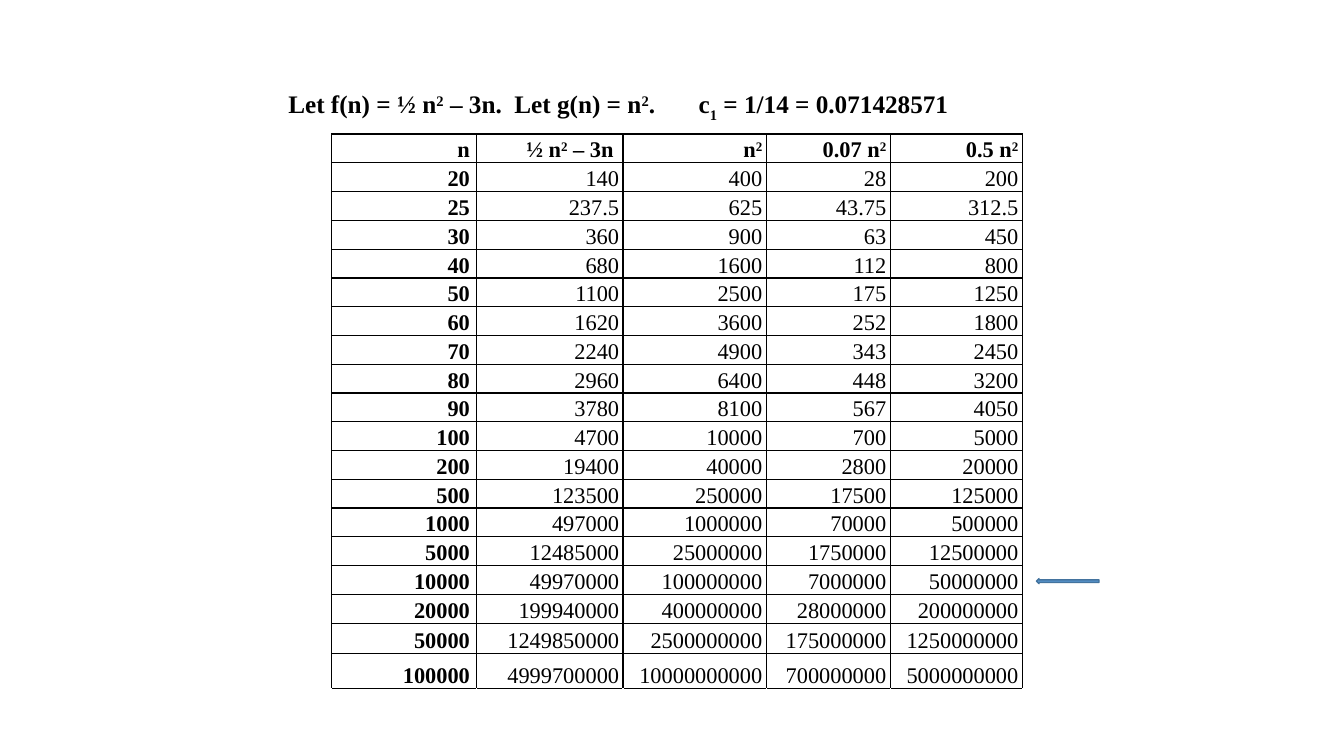
import pptx
import pptx.dml.color
import pptx.enum.shapes
import pptx.enum.text
import pptx.oxml
import pptx.oxml.ns
import pptx.util
from pptx.util import Inches

BLACK = pptx.dml.color.RGBColor(0x00, 0x00, 0x00)
WHITE = pptx.dml.color.RGBColor(0xFF, 0xFF, 0xFF)
ARROW_FILL = pptx.dml.color.RGBColor(0x5B, 0x9B, 0xD5)
ARROW_LINE = pptx.dml.color.RGBColor(0x43, 0x73, 0x9E)

FONT = "Times New Roman"
SUPERSCRIPT, SUBSCRIPT = 30000, -25000
SQUARED = ("2", SUPERSCRIPT)

TITLE = [
    ("Let f(n) = ½ n", 0), SQUARED, (" – 3n.  Let g(n) = n", 0), SQUARED,
    (".\tc", 0), ("1", SUBSCRIPT), (" = 1/14 = 0.071428571", 0),
]
HEADINGS = [
    [("n", 0)],
    [(" ½ n", 0), SQUARED, (" – 3n ", 0)],
    [("n", 0), SQUARED],
    [("0.07 n", 0), SQUARED],
    [("0.5 n", 0), SQUARED],
]
SIZES = [20, 25, 30, 40, 50, 60, 70, 80, 90, 100, 200, 500,
         1000, 5000, 10000, 20000, 50000, 100000]
COLUMN_WIDTHS = [1.44, 1.45, 1.42, 1.23, 1.31]
ROW_HEIGHTS = [0.25] * 17 + [0.3, 0.35, 0.38]


def add_spans(para, spans, size, bold):
    for text, baseline in spans:
        span = para.add_run()
        span.text = text
        span.font.name = FONT
        span.font.size = pptx.util.Pt(size)
        span.font.bold = bold
        span.font.color.rgb = BLACK
        if baseline:
            span._r.get_or_add_rPr().set("baseline", str(baseline))


def add_tab_stop(para, position):
    namespace = pptx.oxml.ns.nsdecls("a")
    para._p.get_or_add_pPr().append(pptx.oxml.parse_xml(
        f'<a:tabLst {namespace}><a:tab pos="{position}" algn="l"/></a:tabLst>'))


def fill_title(page):
    box = page.shapes.title
    box.left, box.top = Inches(2.76), Inches(0.83)
    box.width, box.height = Inches(7.17), Inches(0.4)
    frame = box.text_frame
    frame.word_wrap = True
    frame.auto_size = pptx.enum.text.MSO_AUTO_SIZE.SHAPE_TO_FIT_TEXT
    frame.vertical_anchor = pptx.enum.text.MSO_ANCHOR.TOP
    para = frame.paragraphs[0]
    para.alignment = pptx.enum.text.PP_ALIGN.LEFT
    add_tab_stop(para, Inches(4.07))
    add_spans(para, TITLE, 18, True)


def style_cell(cell, side_color, bottom_color):
    properties = cell._tc.get_or_add_tcPr()
    namespace = pptx.oxml.ns.nsdecls("a")
    borders = {"lnL": side_color, "lnR": side_color,
               "lnT": BLACK, "lnB": bottom_color}
    for side, color in borders.items():
        properties.append(pptx.oxml.parse_xml(
            f'<a:{side} {namespace} w="{pptx.util.Pt(1)}"><a:solidFill>'
            f'<a:srgbClr val="{color}"/></a:solidFill></a:{side}>'))
    cell.fill.solid()
    cell.fill.fore_color.rgb = WHITE


def write_cell(cell, spans, margin, bold):
    cell.margin_left = cell.margin_right = Inches(margin)
    cell.margin_top = cell.margin_bottom = 0
    cell.vertical_anchor = pptx.enum.text.MSO_ANCHOR.BOTTOM
    para = cell.text_frame.paragraphs[0]
    para.alignment = pptx.enum.text.PP_ALIGN.RIGHT
    para.line_spacing = 1.07
    add_spans(para, spans, 16, bold)


def growth_row(n):
    values = [n, n * n / 2 - 3 * n, n * n, 0.07 * n * n, 0.5 * n * n]
    return [[(f"{value:.12g}", 0)] for value in values]


def add_growth_table(page):
    table = page.shapes.add_table(
        len(ROW_HEIGHTS), len(COLUMN_WIDTHS), Inches(3.29), Inches(1.33),
        Inches(sum(COLUMN_WIDTHS)), Inches(sum(ROW_HEIGHTS))).table
    for column, width in zip(table.columns, COLUMN_WIDTHS):
        column.width = Inches(width)
    for row, height in zip(table.rows, ROW_HEIGHTS):
        row.height = Inches(height)
    rows = [HEADINGS] + [growth_row(n) for n in SIZES]
    for i, contents in enumerate(rows):
        for j, spans in enumerate(contents):
            cell = table.cell(i, j)
            style_cell(cell, BLACK, BLACK)
            write_cell(cell, spans, 0.04 if j else 0.07, i == 0 or j == 0)
    for j in range(len(COLUMN_WIDTHS)):
        style_cell(table.cell(len(rows), j), WHITE, WHITE)


def add_row_arrow(page):
    arrow = page.shapes.add_shape(
        pptx.enum.shapes.MSO_SHAPE.LEFT_ARROW,
        Inches(10.28), Inches(5.74), Inches(0.62), Inches(0.05))
    arrow.shadow.inherit = False
    arrow.fill.solid()
    arrow.fill.fore_color.rgb = ARROW_FILL
    arrow.line.color.rgb = ARROW_LINE
    arrow.line.width = pptx.util.Pt(1)


def main():
    deck = pptx.Presentation()
    deck.slide_width, deck.slide_height = Inches(13.33), Inches(7.5)
    page = deck.slides.add_slide(deck.slide_layouts.get_by_name("Title Only"))
    fill_title(page)
    add_growth_table(page)
    add_row_arrow(page)
    deck.save("out.pptx")


if __name__ == "__main__":
    main()
